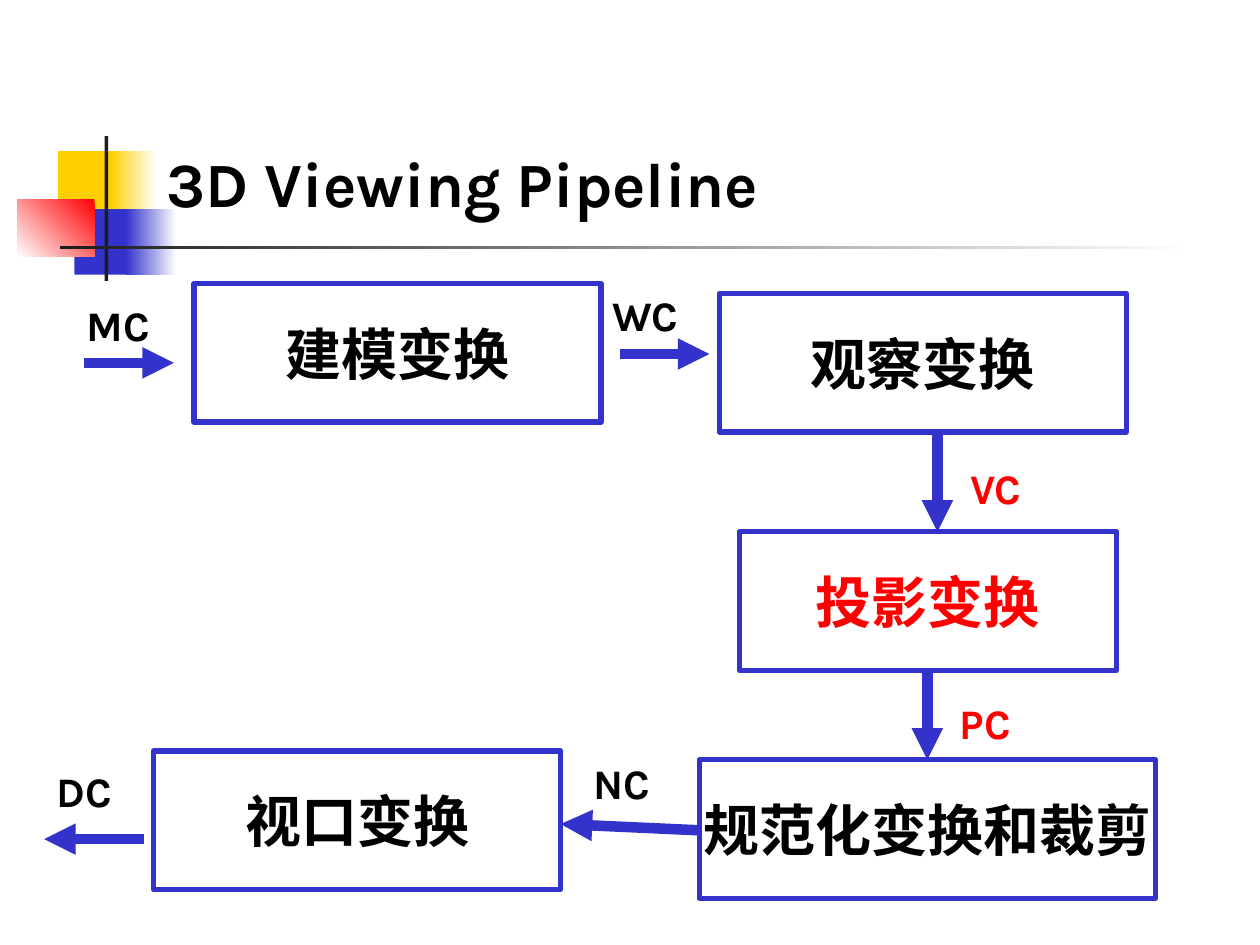
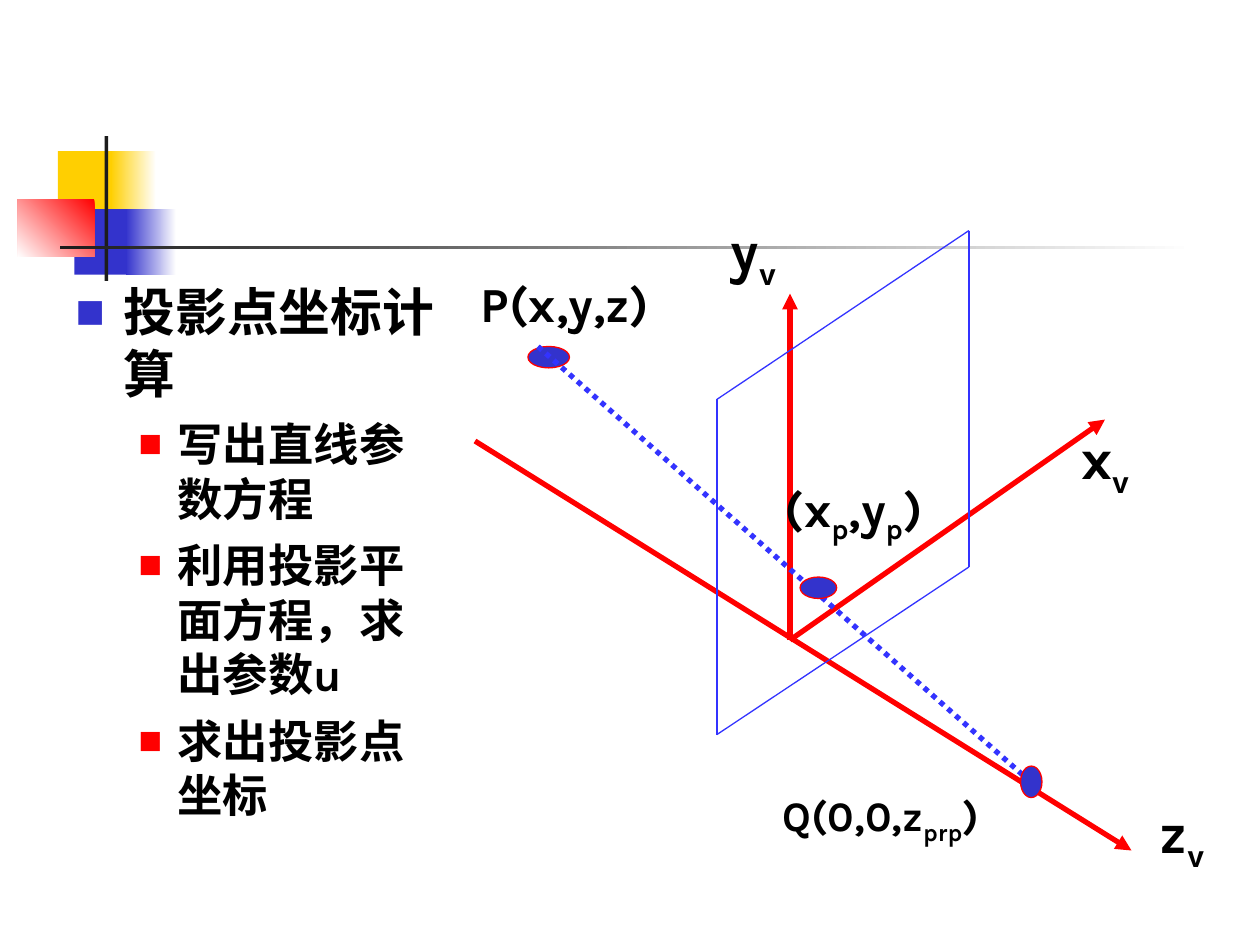
from dataclasses import dataclass

from lxml.etree import SubElement
from pptx import Presentation
from pptx.dml.color import RGBColor
from pptx.enum.dml import MSO_LINE
from pptx.enum.shapes import MSO_CONNECTOR, MSO_SHAPE
from pptx.enum.text import MSO_ANCHOR, MSO_AUTO_SIZE, PP_ALIGN
from pptx.oxml.ns import qn
from pptx.util import Inches, Pt


@dataclass(frozen=True)
class Theme:
    font: str = "Karla"
    text: str = "000000"
    white: str = "FFFFFF"
    blue: str = "3333CC"
    ray: str = "3333FF"
    red: str = "FF0000"
    yellow: str = "FFCF01"
    dark: str = "1C1C1C"
    title_size: float = 36
    box_size: float = 32
    axis_size: float = 32
    point_size: float = 28
    label_size: float = 24
    list_sizes: tuple = (29.6, 25.9)


def rgb(value):
    return RGBColor.from_string(value)


def apply(obj, values):
    for name, value in values.items():
        setattr(obj, name, value)


class Deck:
    def __init__(self, theme):
        self.theme = theme
        self.prs = Presentation()
        apply(self.prs, {"slide_width": Inches(10), "slide_height": Inches(7.5)})
        self.s = None

    def slide(self, layout):
        self.s = self.prs.slides.add_slide(self.prs.slide_layouts[layout])
        self.decorate()

    def decorate(self):
        t = self.theme
        self.shape((0.46, 1.2, 0.48, 0.52), fill=t.yellow)
        self.shape((0.88, 1.2, 0.36, 0.52), gradient=(t.white, t.yellow, 180))
        self.shape((0.59, 1.66, 0.46, 0.52), fill=t.blue)
        self.shape((1, 1.66, 0.4, 0.52), gradient=(t.white, t.blue, 180))
        self.shape((0.14, 1.58, 0.61, 0.46), gradient=(t.red, t.white, 225))
        self.shape((0.83, 1.08, 0.03, 1.15), fill=t.dark)
        self.shape((0.48, 1.95, 9, 0.03), gradient=(t.white, t.dark, 180))

    def shape(self, at, kind=MSO_SHAPE.RECTANGLE, fill=None, gradient=None, line=None, width=0.75):
        sp = self.s.shapes.add_shape(kind, *map(Inches, at))
        sp.shadow.inherit = False
        if gradient:
            *colors, angle = gradient
            sp.fill.gradient()
            sp.fill.gradient_angle = angle
            for stop, color in zip(sp.fill.gradient_stops, colors):
                stop.color.rgb = rgb(color)
        elif fill:
            sp.fill.solid()
            sp.fill.fore_color.rgb = rgb(fill)
        else:
            sp.fill.background()
        if line:
            sp.line.color.rgb = rgb(line)
            sp.line.width = Pt(width)
        else:
            sp.line.fill.background()
        return sp

    def run(self, p, text, size, color, subscript=False):
        r = p.add_run()
        r.text = text
        apply(r.font, {"name": self.theme.font, "size": Pt(size), "bold": True})
        r.font.color.rgb = rgb(color)
        if subscript:
            r._r.get_or_add_rPr().set("baseline", "-25000")

    def place(self, sp, at):
        apply(sp, dict(zip(("left", "top", "width", "height"), map(Inches, at))))

    def title(self, text, at):
        sp = self.s.shapes.title
        self.place(sp, at)
        apply(sp.text_frame, {"vertical_anchor": MSO_ANCHOR.BOTTOM, "auto_size": MSO_AUTO_SIZE.NONE})
        p = sp.text_frame.paragraphs[0]
        p.alignment = PP_ALIGN.LEFT
        self.run(p, text, self.theme.title_size, self.theme.text)

    def drop_title(self):
        sp = self.s.shapes.title._element
        sp.getparent().remove(sp)

    def bullets(self, items, at):
        t = self.theme
        styles = ((0.38, -0.38, t.blue, 60, 8), (0.81, -0.31, t.red, 55, 7))
        sp = self.s.placeholders[1]
        self.place(sp, at)
        tf = sp.text_frame
        tf.auto_size = MSO_AUTO_SIZE.NONE
        for i, (level, text) in enumerate(items):
            p = tf.add_paragraph() if i else tf.paragraphs[0]
            margin, indent, color, percent, before = styles[level]
            pPr = p._p.get_or_add_pPr()
            pPr.set("marL", str(Inches(margin)))
            pPr.set("indent", str(Inches(indent)))
            SubElement(SubElement(pPr, qn("a:buClr")), qn("a:srgbClr"), val=color)
            SubElement(pPr, qn("a:buSzPct"), val=str(percent * 1000))
            SubElement(pPr, qn("a:buFont"), typeface=t.font)
            SubElement(pPr, qn("a:buChar"), char="■")
            apply(p, {"level": level, "space_before": Pt(before if i else 0)})
            self.run(p, text, t.list_sizes[level], t.text)

    def box(self, text, left, top, width=3.23, color=None):
        t = self.theme
        sp = self.shape((left, top, width, 1.1), line=t.blue, width=3)
        apply(sp.text_frame, {"word_wrap": False, "vertical_anchor": MSO_ANCHOR.MIDDLE})
        p = sp.text_frame.paragraphs[0]
        p.alignment = PP_ALIGN.CENTER
        self.run(p, text, t.box_size, color or t.text)

    def label(self, text, left, top, width=0.79, color=None):
        t = self.theme
        tf = self.s.shapes.add_textbox(*map(Inches, (left, top, width, 0.5))).text_frame
        apply(tf, {"word_wrap": True, "auto_size": MSO_AUTO_SIZE.SHAPE_TO_FIT_TEXT})
        self.run(tf.paragraphs[0], text, t.label_size, color or t.text)

    def formula(self, parts, at, size):
        tf = self.s.shapes.add_textbox(*map(Inches, at)).text_frame
        apply(tf, {
            "word_wrap": False, "auto_size": MSO_AUTO_SIZE.SHAPE_TO_FIT_TEXT,
            "vertical_anchor": MSO_ANCHOR.MIDDLE,
            "margin_left": 0, "margin_top": 0, "margin_right": 0, "margin_bottom": 0,
        })
        p = tf.paragraphs[0]
        p.alignment = PP_ALIGN.CENTER
        for i, part in enumerate(parts):
            self.run(p, part, size, self.theme.text, subscript=i % 2 == 1)

    def line(self, start, end, color, width, arrow=False, dash=None):
        c = self.s.shapes.add_connector(MSO_CONNECTOR.STRAIGHT, *map(Inches, start + end))
        apply(c.line, {"width": Pt(width)})
        c.line.color.rgb = rgb(color)
        if dash:
            c.line.dash_style = dash
        if arrow:
            SubElement(c.line._get_or_add_ln(), qn("a:tailEnd"), type="triangle")
        SubElement(c._element.spPr, qn("a:effectLst"))

    def point(self, at):
        t = self.theme
        self.shape(at, MSO_SHAPE.OVAL, fill=t.blue, line=t.red)


def pipeline_slide(deck):
    t = deck.theme
    deck.slide(5)
    deck.title("3D Viewing Pipeline", (1.22, 0.6, 8.52, 1.2))
    deck.box("建模变换", 1.54, 2.25)
    deck.box("观察变换", 5.71, 2.33)
    deck.box("投影变换", 5.87, 4.22, 2.99, t.red)
    deck.box("规范化变换和裁剪", 5.55, 6.03, 3.62)
    deck.box("视口变换", 1.22, 5.96)
    for start, end in (
        ((0.67, 2.88), (1.38, 2.88)),
        ((4.92, 2.81), (5.63, 2.81)),
        ((7.44, 3.44), (7.44, 4.22)),
        ((7.36, 5.32), (7.36, 6.03)),
        ((5.55, 6.59), (4.45, 6.54)),
        ((1.14, 6.66), (0.35, 6.66)),
    ):
        deck.line(start, end, t.blue, 6, arrow=True)
    deck.label("MC", 0.59, 2.33)
    deck.label("WC", 4.76, 2.25)
    deck.label("VC", 7.6, 3.62, 0.71, t.red)
    deck.label("PC", 7.52, 5.49, 0.71, t.red)
    deck.label("NC", 4.61, 5.96, 0.71)
    deck.label("DC", 0.35, 6.03)


def projection_slide(deck):
    t = deck.theme
    deck.slide(1)
    deck.drop_title()
    deck.bullets((
        (0, "投影点坐标计算"),
        (1, "写出直线参数方程"),
        (1, "利用投影平面方程，求出参数u"),
        (1, "求出投影点坐标"),
    ), (0.5, 2.17, 3.08, 4.67))
    origin = (6.27, 5.08)
    for start, end in (
        (origin, (6.27, 2.33)),
        (origin, (8.77, 3.33)),
        ((3.77, 3.5), (8.98, 6.75)),
    ):
        deck.line(start, end, t.red, 3, arrow=True)
    plane = ((5.69, 3.17), (7.69, 1.83), (7.69, 4.5), (5.69, 5.83))
    for start, end in zip(plane, plane[1:] + plane[:1]):
        deck.line(start, end, t.ray, 0.75)
    deck.point((4.19, 2.75, 0.33, 0.17))
    deck.line((4.27, 2.75), (8.23, 6.25), t.ray, 3, dash=MSO_LINE.ROUND_DOT)
    deck.point((8.1, 6.08, 0.17, 0.25))
    deck.point((6.35, 4.58, 0.29, 0.17))
    deck.formula(("x", "v"), (8.57, 3.36, 0.4, 0.61), t.axis_size)
    deck.formula(("y", "v"), (5.78, 1.71, 0.4, 0.61), t.axis_size)
    deck.formula(("z", "v"), (9.2, 6.33, 0.36, 0.61), t.axis_size)
    deck.formula(("P(x,y,z)",), (3.76, 2.17, 1.45, 0.47), t.point_size)
    deck.formula(("(x", "p", ",y", "p", ")"), (6.2, 3.8, 1.15, 0.53), t.point_size)
    deck.formula(("Q(0,0,z", "prp", ")"), (6.18, 6.26, 1.62, 0.46), t.label_size)


def main():
    deck = Deck(Theme())
    pipeline_slide(deck)
    projection_slide(deck)
    deck.prs.save("out.pptx")


if __name__ == "__main__":
    main()
